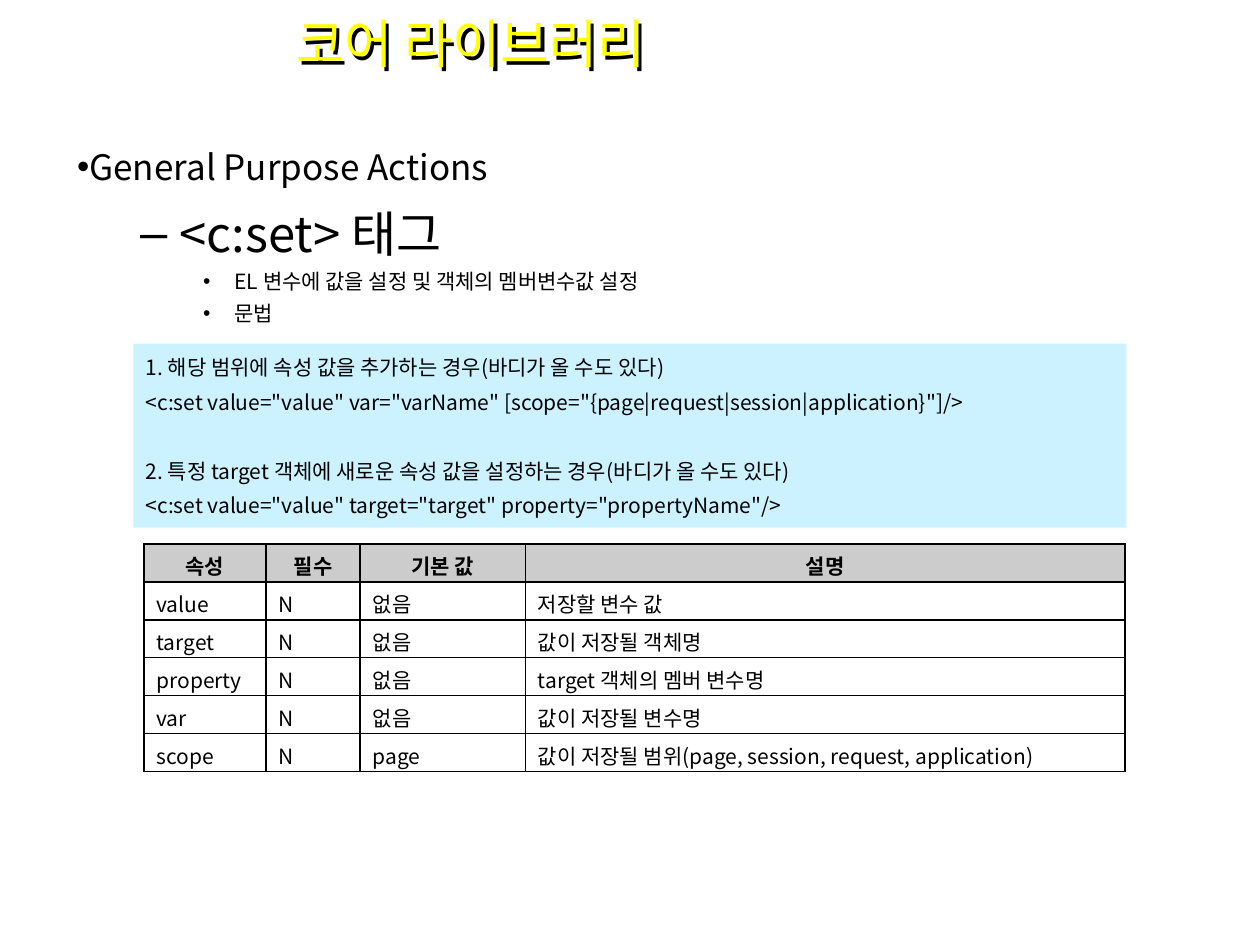
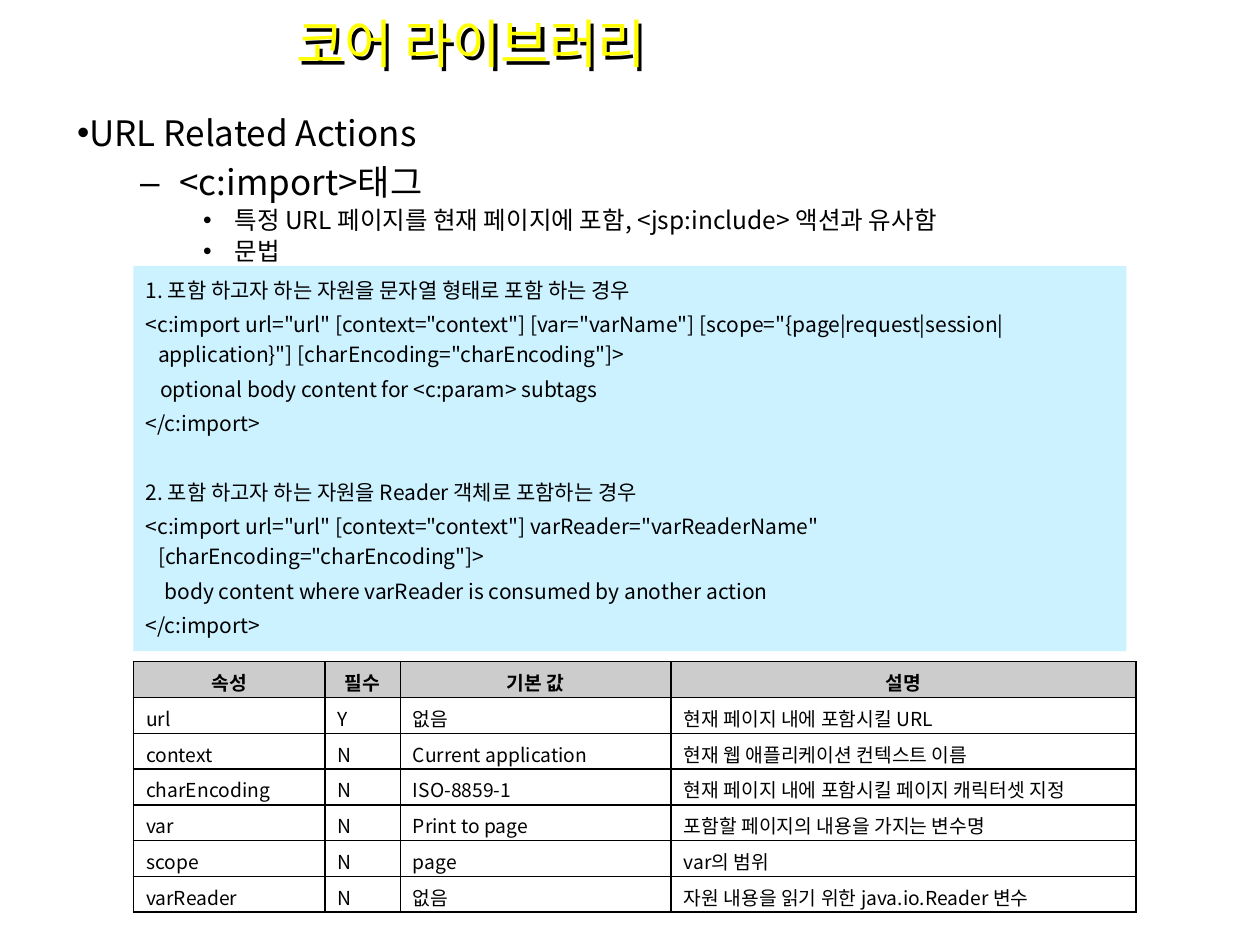
from lxml import etree
from pptx import Presentation
from pptx.dml.color import RGBColor
from pptx.enum import shapes, text
from pptx.oxml import ns
from pptx.util import Cm, Pt

FONT = "Noto Sans CJK KR"
COLORS = {"title": "FFFF00", "ink": "000000", "syntax": "CDF2FF", "header": "CCCCCC"}
TITLE = "코어 라이브러리"
HEADER = ("속성", "필수", "기본 값", "설명")
HANGING = (0.25, -0.25)
SYNTAX_SIZE = 12
SYNTAX_GAP = 2.4
SECTION_GAP = 22

SET_TAG = {
    "outline_top": 2.72,
    "outline": [
        ("General Purpose Actions", 0, 20, 1.1),
        ("<c:set> 태그", 1, 28, 1.1),
        ("EL 변수에 값을 설정 및 객체의 멤버변수값 설정", 2, 12, 1.1),
        ("문법", 2, 12, 1.1),
    ],
    "syntax_span": (6.93, 3.71),
    "syntax": [
        [
            ("1. 해당 범위에 속성 값을 추가하는 경우(바디가 올 수도 있다)", HANGING),
            ('<c:set value="value" var="varName" '
             '[scope="{page|request|session|application}"]/>', HANGING),
        ],
        [
            ("2. 특정 target 객체에 새로운 속성 값을 설정하는 경우(바디가 올 수도 있다)", HANGING),
            ('<c:set value="value" target="target" property="propertyName"/>', HANGING),
        ],
    ],
    "table_place": (2.9, 10.97, 4.57),
    "columns": (2.46, 1.9, 3.33, 12.09),
    "table_size": 12,
    "attributes": [
        ("value", "N", "없음", "저장할 변수 값"),
        ("target", "N", "없음", "값이 저장될 객체명"),
        ("property", "N", "없음", "target 객체의 멤버 변수명"),
        ("var", "N", "없음", "값이 저장될 변수명"),
        ("scope", "N", "page", "값이 저장될 범위(page, session, request, application)"),
    ],
}

IMPORT_TAG = {
    "outline_top": 2.13,
    "outline": [
        ("URL Related Actions", 0, 20, 1.0),
        ("<c:import>태그", 1, 20, 1.0),
        ("특정 URL 페이지를 현재 페이지에 포함, <jsp:include> 액션과 유사함", 2, 14, 0.9),
        ("문법", 2, 14, 0.9),
    ],
    "syntax_span": (5.36, 7.77),
    "syntax": [
        [
            ("1. 포함 하고자 하는 자원을 문자열 형태로 포함 하는 경우", HANGING),
            ('<c:import url="url" [context="context"] [var="varName"] '
             '[scope="{page|request|session|application}"] '
             '[charEncoding="charEncoding"]>', HANGING),
            ("optional body content for <c:param> subtags", (0.29, 0)),
            ("</c:import>", HANGING),
        ],
        [
            ("2. 포함 하고자 하는 자원을 Reader 객체로 포함하는 경우", HANGING),
            ('<c:import url="url" [context="context"] varReader="varReaderName" '
             '[charEncoding="charEncoding"]>', HANGING),
            ("body content where varReader is consumed by another action", (0.38, 0)),
            ("</c:import>", HANGING),
        ],
    ],
    "table_place": (2.69, 13.34, 5.03),
    "columns": (3.86, 1.52, 5.46, 9.37),
    "table_size": 11,
    "attributes": [
        ("url", "Y", "없음", "현재 페이지 내에 포함시킬 URL"),
        ("context", "N", "Current application", "현재 웹 애플리케이션 컨텍스트 이름"),
        ("charEncoding", "N", "ISO-8859-1", "현재 페이지 내에 포함시킬 페이지 캐릭터셋 지정"),
        ("var", "N", "Print to page", "포함할 페이지의 내용을 가지는 변수명"),
        ("scope", "N", "page", "var의 범위"),
        ("varReader", "N", "없음", "자원 내용을 읽기 위한 java.io.Reader 변수"),
    ],
}


def rgb(role):
    """Return the colour that plays a role."""
    return RGBColor.from_string(COLORS[role])


def add_element(parent, tag, **attributes):
    """Append a DrawingML element to a parent."""
    return etree.SubElement(parent, ns.qn(tag), attributes)


def place(shape, left, top, width, height):
    """Move and size a shape in centimetres."""
    shape.left, shape.top = Cm(left), Cm(top)
    shape.width, shape.height = Cm(width), Cm(height)


def style(paragraph, size, color="ink", bold=False):
    """Set the font of a paragraph for Latin and Korean text."""
    font = paragraph.font
    font.size, font.bold, font.name = Pt(size), bold, FONT
    font.color.rgb = rgb(color)
    add_element(paragraph._p.pPr.find(ns.qn("a:defRPr")), "a:ea", typeface=FONT)


def indent(paragraph, left, first):
    """Set the left margin and first-line indent of a paragraph."""
    properties = paragraph._p.get_or_add_pPr()
    properties.set("marL", str(Cm(left)))
    properties.set("indent", str(Cm(first)))


def next_paragraph(frame, index):
    """Return the first paragraph of a frame or a new one."""
    return frame.add_paragraph() if index else frame.paragraphs[0]


def fill_title(title):
    """Write the shared title with its hard black shadow."""
    place(title, 5.49, 0, 16.48, 1.73)
    frame = title.text_frame
    frame.text = TITLE
    frame.auto_size = text.MSO_AUTO_SIZE.NONE
    frame.vertical_anchor = text.MSO_ANCHOR.MIDDLE
    frame.margin_left = Cm(0.48)
    heading = frame.paragraphs[0]
    heading.alignment = text.PP_ALIGN.LEFT
    style(heading, 30, "title")
    effects = add_element(title._element.spPr, "a:effectLst")
    shadow = add_element(effects, "a:outerShdw", dist=str(Cm(0.1)), dir="2700000",
                         algn="ctr", rotWithShape="0")
    add_element(shadow, "a:srgbClr", val=COLORS["ink"])


def fill_outline(body, top, points):
    """Write the bulleted outline of a tag."""
    place(body, 1.3, top, 22.86, 12.57)
    frame = body.text_frame
    frame.auto_size = text.MSO_AUTO_SIZE.NONE
    for index, (wording, level, size, spacing) in enumerate(points):
        point = next_paragraph(frame, index)
        point.text, point.level, point.line_spacing = wording, level, spacing
        if level == 0:
            indent(point, 0, 0)
        style(point, size)


def add_syntax(slide, span, sections):
    """Add the shaded box that shows the syntax of a tag."""
    top, height = span
    box = slide.shapes.add_shape(shapes.MSO_SHAPE.RECTANGLE, Cm(2.69), Cm(top),
                                 Cm(20.02), Cm(height))
    box.shadow.inherit = False
    box.fill.solid()
    box.fill.fore_color.rgb = rgb("syntax")
    box.line.fill.background()
    frame = box.text_frame
    frame.word_wrap = True
    frame.auto_size = text.MSO_AUTO_SIZE.SHAPE_TO_FIT_TEXT
    frame.vertical_anchor = text.MSO_ANCHOR.TOP
    count = 0
    for section in sections:
        for position, (wording, margins) in enumerate(section):
            line = next_paragraph(frame, count)
            line.text = wording
            line.alignment = text.PP_ALIGN.LEFT
            line.line_spacing = 1.2
            opens_section = count and position == 0
            line.space_before = Pt(SECTION_GAP if opens_section else SYNTAX_GAP)
            indent(line, *margins)
            style(line, SYNTAX_SIZE)
            count += 1


def add_borders(cell):
    """Draw a thin black line on each side of a cell."""
    properties = cell._tc.get_or_add_tcPr()
    for index, side in enumerate("LRTB"):
        border = add_element(properties, f"a:ln{side}", w=str(Pt(1)))
        add_element(add_element(border, "a:solidFill"), "a:srgbClr", val=COLORS["ink"])
        properties.insert(index, border)


def fill_cell(cell, wording, size, is_header):
    """Write and format one table cell."""
    cell.text = wording
    cell.vertical_anchor = text.MSO_ANCHOR.MIDDLE
    entry = cell.text_frame.paragraphs[0]
    entry.alignment = text.PP_ALIGN.CENTER if is_header else text.PP_ALIGN.JUSTIFY
    style(entry, size, bold=is_header)
    if is_header:
        cell.fill.solid()
        cell.fill.fore_color.rgb = rgb("header")
    else:
        cell.fill.background()
    add_borders(cell)


def add_attributes(slide, position, widths, size, attributes):
    """Add the table of tag attributes."""
    left, top, height = position
    rows = [HEADER, *attributes]
    table = slide.shapes.add_table(len(rows), len(HEADER), Cm(left), Cm(top),
                                   Cm(sum(widths)), Cm(height)).table
    table.first_row = table.horz_banding = False
    for column, width in zip(table.columns, widths):
        column.width = Cm(width)
    for row_index, row in enumerate(rows):
        for column_index, wording in enumerate(row):
            fill_cell(table.cell(row_index, column_index), wording, size, row_index == 0)


def add_tag_slide(deck, tag):
    """Add the slide that explains one tag."""
    slide = deck.slides.add_slide(deck.slide_layouts[1])
    fill_title(slide.shapes.title)
    fill_outline(slide.placeholders[1], tag["outline_top"], tag["outline"])
    add_syntax(slide, tag["syntax_span"], tag["syntax"])
    add_attributes(slide, tag["table_place"], tag["columns"], tag["table_size"],
                   tag["attributes"])


def main():
    """Build and save the presentation."""
    deck = Presentation()
    deck.slide_width, deck.slide_height = Cm(25.4), Cm(19.05)
    for tag in (SET_TAG, IMPORT_TAG):
        add_tag_slide(deck, tag)
    deck.save("out.pptx")


if __name__ == "__main__":
    main()
